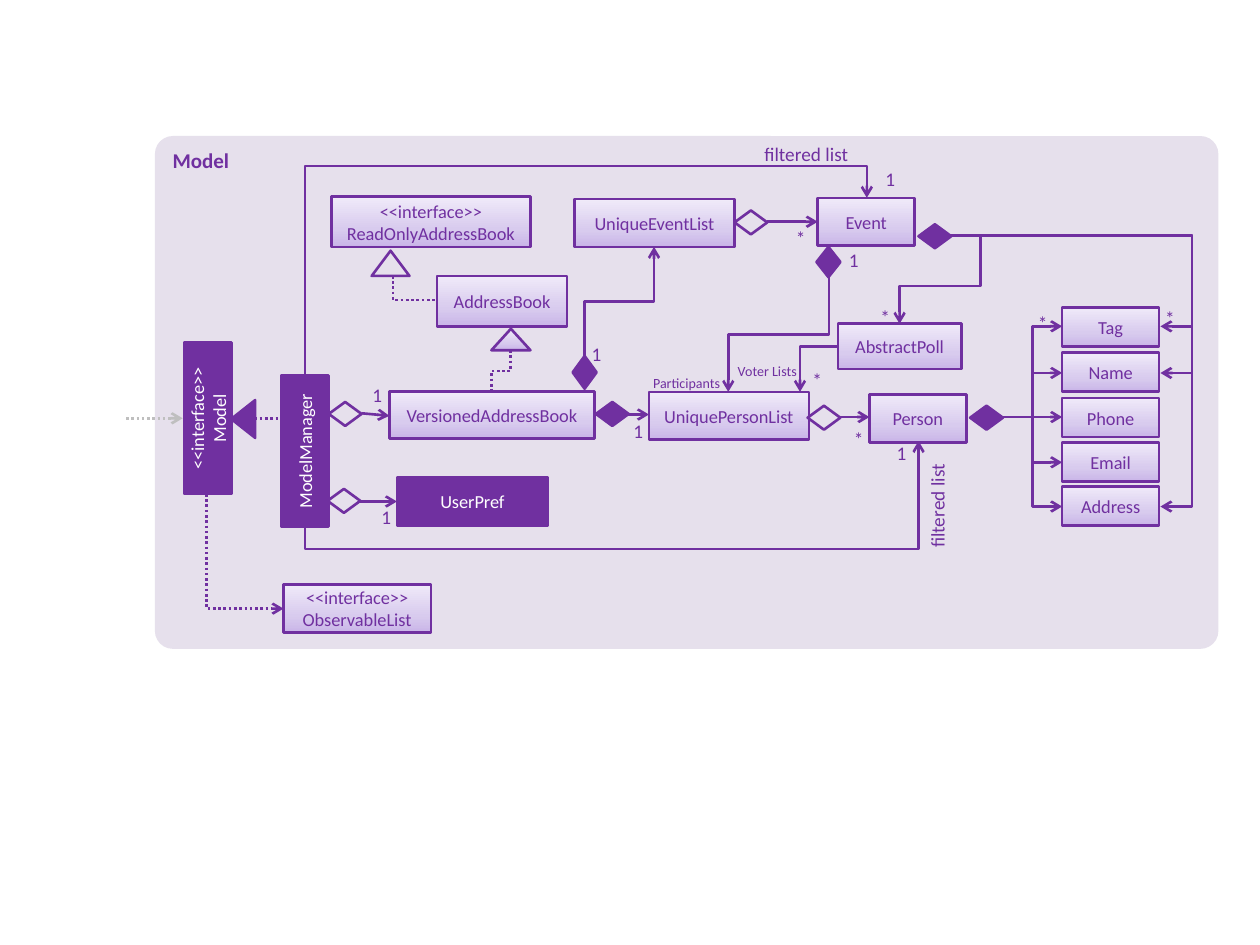
"""Build the class diagram of the Model component."""
from copy import deepcopy

from lxml import etree
from pptx import Presentation
from pptx.dml.color import RGBColor
from pptx.enum.dml import MSO_LINE
from pptx.enum.shapes import MSO_CONNECTOR, MSO_SHAPE
from pptx.enum.text import MSO_ANCHOR, PP_ALIGN
from pptx.oxml.ns import qn
from pptx.util import Inches, Pt

PURPLE = RGBColor(0x70, 0x30, 0xA0)
LAVENDER = RGBColor(0xE6, 0xE0, 0xEC)
GRAY = RGBColor(0xBF, 0xBF, 0xBF)
WHITE = RGBColor(0xFF, 0xFF, 0xFF)
GRADIENT = [
    (0, RGBColor(0xC9, 0xB5, 0xE8)),
    (0.35, RGBColor(0xD8, 0xCB, 0xEE)),
    (1, RGBColor(0xF0, 0xEA, 0xF9)),
]


def write(shape, text, size=10.5, color=PURPLE, bold=False, align=PP_ALIGN.CENTER,
          anchor=MSO_ANCHOR.MIDDLE, inset=None, wrap=True):
    frame = shape.text_frame
    frame.word_wrap = wrap
    frame.vertical_anchor = anchor
    if inset is not None:
        frame.margin_left = frame.margin_right = Inches(inset)
        frame.margin_top = frame.margin_bottom = Inches(inset)
    frame.text = text
    for para in frame.paragraphs:
        para.alignment = align
        for span in para.runs:
            span.font.name = "Calibri"
            span.font.size = Pt(size)
            span.font.bold = bold
            span.font.color.rgb = color


def connect(start, finish, bends=0, vertical=False, adjust=(), color=PURPLE,
            dotted=False, arrow=True):
    (x1, y1), (x2, y2) = start, finish
    if vertical:
        middle_x, middle_y = (x1 + x2) / 2, (y1 + y2) / 2
        half_x, half_y = (y2 - y1) / 2, (x1 - x2) / 2
        x1, y1 = middle_x - half_x, middle_y - half_y
        x2, y2 = middle_x + half_x, middle_y + half_y
    kind = MSO_CONNECTOR.ELBOW if bends else MSO_CONNECTOR.STRAIGHT
    link = page.shapes.add_connector(kind, Inches(x1), Inches(y1), Inches(x2), Inches(y2))
    link.line.color.rgb = color
    link.line.width = Pt(1.5)
    if dotted:
        link.line.dash_style = MSO_LINE.ROUND_DOT
    properties = link.element.spPr
    if vertical:
        properties.find(qn("a:xfrm")).set("rot", "5400000")
    if bends:
        geometry = properties.find(qn("a:prstGeom"))
        geometry.set("prst", f"bentConnector{bends + 1}")
        guides = geometry.find(qn("a:avLst"))
        for number, value in enumerate(adjust, 1):
            etree.SubElement(guides, qn("a:gd"), name=f"adj{number}",
                             fmla=f"val {round(value * 100000)}")
    if arrow:
        etree.SubElement(properties.find(qn("a:ln")), qn("a:tailEnd"), type="arrow")
    etree.SubElement(properties, qn("a:effectLst"))


deck = Presentation()
deck.slide_width, deck.slide_height = Inches(10), Inches(7.5)
page = deck.slides.add_slide(deck.slide_layouts[6])

panel = page.shapes.add_shape(MSO_SHAPE.ROUNDED_RECTANGLE, Inches(1.23), Inches(1.08),
                              Inches(8.44), Inches(4.07))
panel.adjustments[0] = 0.035
panel.shadow.inherit = False
panel.fill.solid()
panel.fill.fore_color.rgb = LAVENDER
panel.line.fill.background()
write(panel, "Model", size=12, bold=True, align=PP_ALIGN.LEFT, anchor=MSO_ANCHOR.TOP)

BOX, DIAMOND, TRIANGLE = (MSO_SHAPE.RECTANGLE, MSO_SHAPE.FLOWCHART_DECISION,
                          MSO_SHAPE.ISOSCELES_TRIANGLE)
field_tops = [2.44, 2.8, 3.16, 3.51, 3.86]
field_names = ["Tag", "Name", "Phone", "Email", "Address"]
shapes = [
    (BOX, 3.15, 3.79, 1.2, 0.38, 0, PURPLE, "UserPref"),
    (BOX, 1.82, 3.39, 1.2, 0.38, 270, PURPLE, "ModelManager"),
    (BOX, 1.05, 3.13, 1.2, 0.38, 270, PURPLE, "<<interface>>\nModel"),
    (BOX, 3.09, 3.11, 1.63, 0.37, 0, GRADIENT, "VersionedAddressBook"),
    (BOX, 5.15, 3.11, 1.27, 0.38, 0, GRADIENT, "UniquePersonList"),
    (BOX, 6.9, 3.13, 0.77, 0.38, 0, GRADIENT, "Person"),
    (BOX, 2.63, 1.56, 1.58, 0.4, 0, GRADIENT, "<<interface>>\nReadOnlyAddressBook"),
    (BOX, 2.25, 4.64, 1.17, 0.38, 0, GRADIENT, "<<interface>>\nObservableList"),
    (BOX, 3.47, 2.19, 1.03, 0.4, 0, GRADIENT, "AddressBook"),
    (BOX, 4.56, 1.58, 1.27, 0.38, 0, GRADIENT, "UniqueEventList"),
    (BOX, 6.49, 1.57, 0.77, 0.38, 0, GRADIENT, "Event"),
    (BOX, 6.65, 2.57, 0.98, 0.36, 0, GRADIENT, "AbstractPoll"),
    *[(BOX, 8.43, top, 0.77, 0.31, 0, GRADIENT, name)
      for top, name in zip(field_tops, field_names)],
    (TRIANGLE, 1.78, 3.23, 0.3, 0.19, 270, PURPLE, ""),
    (TRIANGLE, 3.9, 2.61, 0.31, 0.17, 0, GRADIENT, ""),
    (TRIANGLE, 2.95, 1.99, 0.3, 0.2, 0, LAVENDER, ""),
    (DIAMOND, 2.6, 3.88, 0.26, 0.19, 0, None, ""),
    (DIAMOND, 2.61, 3.19, 0.26, 0.19, 0, None, ""),
    (DIAMOND, 6.41, 3.22, 0.26, 0.19, 0, None, ""),
    (DIAMOND, 5.83, 1.67, 0.26, 0.19, 0, None, ""),
    (DIAMOND, 4.73, 3.19, 0.26, 0.19, 0, PURPLE, ""),
    (DIAMOND, 7.7, 3.22, 0.26, 0.19, 0, PURPLE, ""),
    (DIAMOND, 4.51, 2.86, 0.26, 0.19, 270, PURPLE, ""),
    (DIAMOND, 7.29, 1.78, 0.26, 0.19, 0, PURPLE, ""),
    (DIAMOND, 6.48, 1.96, 0.19, 0.24, 0, PURPLE, ""),
]
for kind, left, top, width, height, turn, fill, text in shapes:
    shape = page.shapes.add_shape(kind, Inches(left), Inches(top), Inches(width), Inches(height))
    shape.rotation = turn
    shape.shadow.inherit = False
    shape.line.color.rgb = PURPLE
    shape.line.width = Pt(1.5)
    if fill is None:
        shape.fill.background()
    elif fill is GRADIENT:
        shape.fill.gradient()
        shape.fill.gradient_angle = 90
        stop_list = shape.element.spPr.find(".//" + qn("a:gsLst"))
        stop_list.insert(1, deepcopy(stop_list[0]))
        for stop, (position, color) in zip(shape.fill.gradient_stops, GRADIENT):
            stop.position = position
            stop.color.rgb = color
    else:
        shape.fill.solid()
        shape.fill.fore_color.rgb = fill
    if text:
        write(shape, text, color=WHITE if fill is PURPLE else PURPLE)

connect((1, 3.32), (1.45, 3.32), color=GRAY, dotted=True)
connect((2.02, 3.32), (2.26, 3.32), dotted=True, arrow=False)
for start, finish in [((2.85, 3.98), (3.15, 3.98)), ((2.87, 3.28), (3.09, 3.3)),
                      ((4.73, 3.29), (5.15, 3.29)), ((6.67, 3.31), (6.9, 3.31)),
                      ((6.09, 1.76), (6.49, 1.76)), ((7.96, 3.31), (8.43, 3.31))]:
    connect(start, finish)
for finish_y in (2.59, 2.96, 3.67, 4.02):
    connect((7.96, 3.31), (8.43, finish_y), bends=2, adjust=[0.5])
for finish_y in (2.59, 2.96, 4.02):
    connect((7.54, 1.87), (9.21, finish_y), bends=2, adjust=[1.15])
connect((7.54, 1.87), (7.14, 2.57), bends=3, adjust=[-0.61, 0.57])
connect((6.65, 2.75), (6.35, 3.11), bends=1)
connect((1.64, 3.92), (2.25, 4.83), bends=1, vertical=True, dotted=True)
connect((3.12, 2.19), (3.47, 2.38), bends=1, vertical=True, dotted=True, arrow=False)
connect((4.05, 2.78), (3.9, 3.11), bends=2, vertical=True, adjust=[0.5], dotted=True, arrow=False)
for start, finish, bend in [((2.42, 4.18), (7.29, 3.5), -0.26),
                            ((2.42, 2.98), (6.88, 1.57), 1.18),
                            ((6.58, 2.2), (5.78, 3.11), 0.5),
                            ((4.64, 2.83), (5.19, 1.96), 0.5)]:
    connect(start, finish, bends=2, vertical=True, adjust=[bend])

multiplicities = {
    "1": [(4.96, 3.33), (2.89, 3.04), (2.96, 4.01), (7.05, 3.5), (4.63, 2.72),
          (6.67, 1.97), (6.96, 1.33)],
    "*": [(6.71, 3.39), (8.17, 2.47), (6.92, 2.42), (9.18, 2.43), (6.25, 1.8), (6.38, 2.92)],
}
for mark, places in multiplicities.items():
    for left, top in places:
        label = page.shapes.add_textbox(Inches(left), Inches(top), Inches(0.21), Inches(0.2))
        write(label, mark, size=11, anchor=MSO_ANCHOR.TOP, inset=0)

for text, left, top, width, height, turn, size, align, wrap in [
    ("filtered list", 5.92, 1.08, 0.91, 0.29, 0, 11, PP_ALIGN.RIGHT, True),
    ("filtered list", 6.96, 3.92, 0.96, 0.29, 270, 11, PP_ALIGN.RIGHT, True),
    ("Participants", 5.08, 2.92, 0.74, 0.24, 0, 8, PP_ALIGN.CENTER, False),
    ("Voter Lists", 5.75, 2.83, 0.68, 0.24, 0, 8, PP_ALIGN.CENTER, False),
]:
    label = page.shapes.add_textbox(Inches(left), Inches(top), Inches(width), Inches(height))
    label.rotation = turn
    write(label, text, size=size, align=align, anchor=MSO_ANCHOR.TOP, wrap=wrap)

deck.save("out.pptx")
